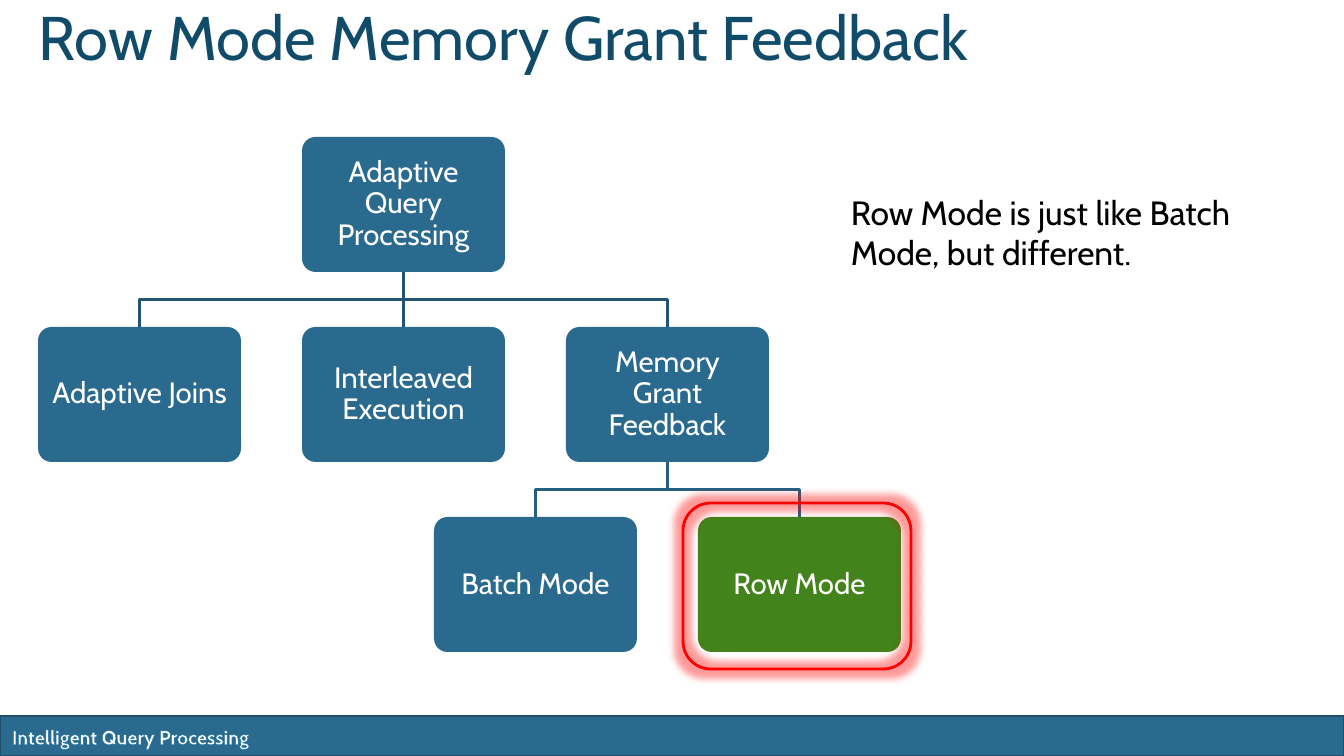
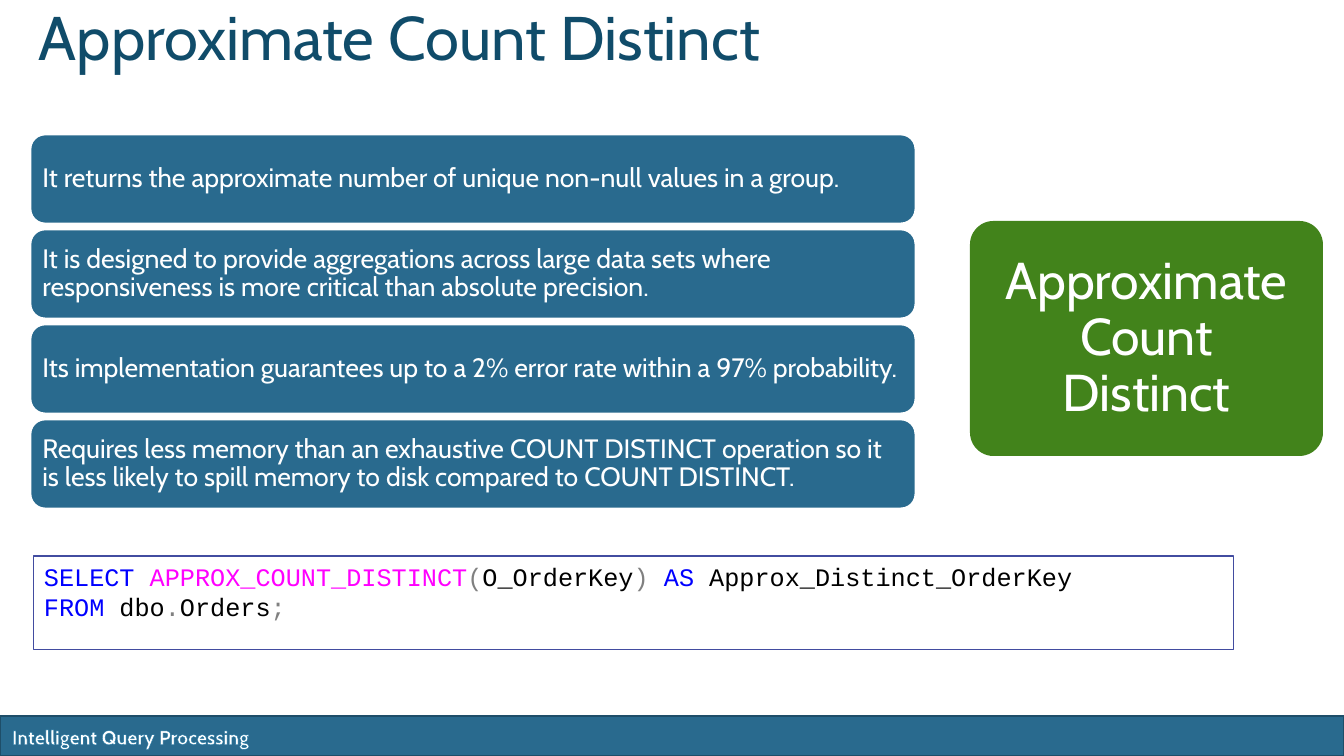
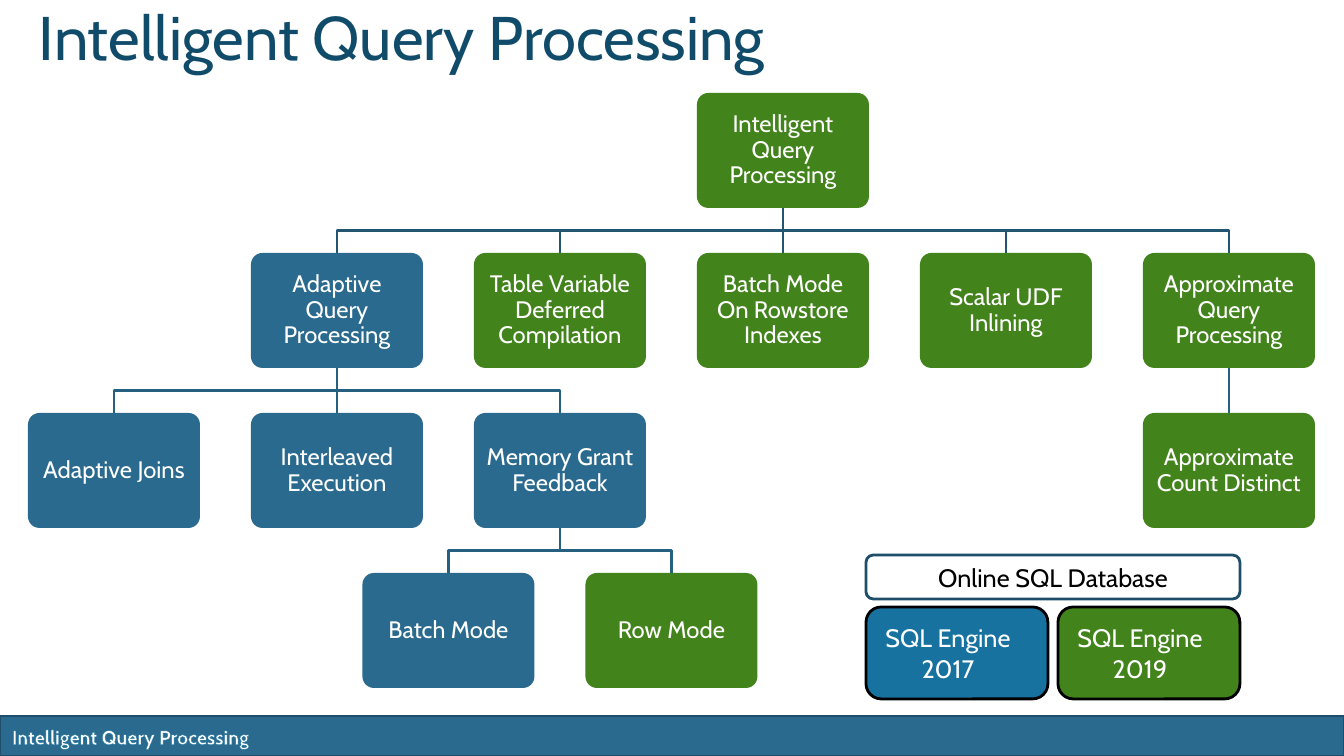
from lxml.etree import SubElement
from pptx import Presentation
from pptx.dml.color import RGBColor
from pptx.enum.shapes import MSO_CONNECTOR, MSO_SHAPE
from pptx.enum.text import MSO_ANCHOR, PP_ALIGN
from pptx.oxml import parse_xml
from pptx.oxml.ns import nsdecls, qn
from pptx.util import Pt

EMU_PER_PX = 914400 / 100.8
WIDTH, HEIGHT = 1344, 756

BLUE = RGBColor(0x29, 0x6A, 0x8E)
BRIGHT_BLUE = RGBColor(0x18, 0x72, 0xA0)
DARK_BLUE = RGBColor(0x1E, 0x4E, 0x69)
TITLE_BLUE = RGBColor(0x10, 0x4C, 0x6A)
ROOT_LINE = RGBColor(0x21, 0x55, 0x72)
BRANCH_LINE = RGBColor(0x25, 0x60, 0x81)
CODE_BORDER = RGBColor(0x42, 0x4C, 0xA0)
GREEN = RGBColor(0x42, 0x83, 0x1B)
RED = RGBColor(0xFF, 0x00, 0x00)
WHITE = RGBColor(0xFF, 0xFF, 0xFF)
BLACK = RGBColor(0x00, 0x00, 0x00)
KEYWORD = RGBColor(0x00, 0x00, 0xFF)
FUNCTION = RGBColor(0xFF, 0x00, 0xFF)
SYMBOL = RGBColor(0x80, 0x80, 0x80)

FONT, CODE_FONT = "Cabin", "Courier New"
FOOTER = "Intelligent Query Processing"

# Trees: key: (text, column, level, fill, parent key)
FEEDBACK_TREE = {
    "aqp": ("Adaptive Query Processing", 1, 0, BLUE, None),
    "joins": ("Adaptive Joins", 0, 1, BLUE, "aqp"),
    "interleaved": ("Interleaved Execution", 1, 1, BLUE, "aqp"),
    "grant": ("Memory Grant Feedback", 2, 1, BLUE, "aqp"),
    "batch": ("Batch Mode", 1.5, 2, BLUE, "grant"),
    "row": ("Row Mode", 2.5, 2, GREEN, "grant"),
}
FEEDBACK_GRID = dict(left=38, top=137, w=203, h=135, dx=264, dy=190, size=21, inset=9)
FEEDBACK_NOTE = "Row Mode is just like Batch Mode, but different."

FAMILY_TREE = {
    "iqp": ("Intelligent Query Processing", 3, 0, GREEN, None),
    "aqp": ("Adaptive Query Processing", 1, 1, BLUE, "iqp"),
    "joins": ("Adaptive Joins", 0, 2, BLUE, "aqp"),
    "interleaved": ("Interleaved Execution", 1, 2, BLUE, "aqp"),
    "grant": ("Memory Grant Feedback", 2, 2, BLUE, "aqp"),
    "batch": ("Batch Mode", 1.5, 3, BLUE, "grant"),
    "row": ("Row Mode", 2.5, 3, GREEN, "grant"),
    "table": ("Table Variable Deferred Compilation", 2, 1, GREEN, "iqp"),
    "rowstore": ("Batch Mode On Rowstore Indexes", 3, 1, GREEN, "iqp"),
    "scalar": ("Scalar UDF Inlining", 4, 1, GREEN, "iqp"),
    "approx": ("Approximate Query Processing", 5, 1, GREEN, "iqp"),
    "count": ("Approximate Count Distinct", 5, 2, GREEN, "approx"),
}
FAMILY_GRID = dict(left=28, top=93, w=172, h=115, dx=223, dy=160, size=17, inset=7)
LEGEND_HEAD = "Online SQL Database"
LEGEND = [("SQL Engine", "2017", BRIGHT_BLUE), ("SQL Engine", "2019", GREEN)]

FACTS = [
    "It returns the approximate number of unique non-null values in a group.",
    "It is designed to provide aggregations across large data sets where "
    "responsiveness is more critical than absolute precision.",
    "Its implementation guarantees up to a 2% error rate within a 97% probability.",
    "Requires less memory than an exhaustive COUNT DISTINCT operation so it is less "
    "likely to spill memory to disk compared to COUNT DISTINCT.",
]
QUERY = [
    [("SELECT ", KEYWORD), ("APPROX_COUNT_DISTINCT", FUNCTION), ("(", SYMBOL),
     ("O_OrderKey", BLACK), (") ", SYMBOL), ("AS ", KEYWORD),
     ("Approx_Distinct_OrderKey", BLACK)],
    [("FROM ", KEYWORD), ("dbo", BLACK), (".", SYMBOL), ("Orders", BLACK), (";", SYMBOL)],
]


def px(n):
    return round(n * EMU_PER_PX)


def write(sp, lines, size, color=WHITE, font=FONT, bold=None, align=PP_ALIGN.LEFT,
          anchor=MSO_ANCHOR.TOP, spacing=None, inset=None):
    """Fill a shape with paragraphs; each is a string or a list of (text, colour)."""
    tf = sp.text_frame
    frame = dict(word_wrap=True, vertical_anchor=anchor)
    if inset is not None:
        sides = ("margin_left", "margin_top", "margin_right", "margin_bottom")
        frame.update(dict.fromkeys(sides, px(inset)))
    for name, value in frame.items():
        setattr(tf, name, value)
    for i, line in enumerate(lines):
        p = tf.add_paragraph() if i else tf.paragraphs[0]
        p.alignment, p.line_spacing = align, spacing
        for text, ink in [(line, color)] if isinstance(line, str) else line:
            r = p.add_run()
            r.text = text
            for name, value in dict(name=font, size=Pt(size), bold=bold).items():
                setattr(r.font, name, value)
            r.font.color.rgb = ink
    return tf


def text_box(s, rect, text, size, **fmt):
    return write(s.shapes.add_textbox(*map(px, rect)), [text], size, **fmt)


def outline(sp, color, width=2):
    sp.line.color.rgb = color
    sp.line.width = Pt(width)


def block(s, rect, fill=None, line=None, width=2, kind=MSO_SHAPE.ROUNDED_RECTANGLE, adj=None):
    sp = s.shapes.add_shape(kind, *map(px, rect))
    sp.shadow.inherit = False
    if adj is not None:
        sp.adjustments[0] = adj
    if fill is None:
        sp.fill.background()
    else:
        sp.fill.solid()
        sp.fill.fore_color.rgb = fill
    if line is None:
        sp.line.fill.background()
    else:
        outline(sp, line, width)
    return sp


CENTERED = dict(align=PP_ALIGN.CENTER, anchor=MSO_ANCHOR.MIDDLE)


def new_slide(prs, title):
    s = prs.slides.add_slide(prs.slide_layouts[6])
    block(s, (0, 716, WIDTH, 40), BLUE, DARK_BLUE, kind=MSO_SHAPE.RECTANGLE)
    tf = text_box(s, (2, 720, 611, 34), FOOTER, 14, bold=True)
    rim = parse_xml(f'<a:ln {nsdecls("a")} w="{Pt(0.8)}"><a:solidFill>'
                    f'<a:srgbClr val="{BRIGHT_BLUE}"/></a:solidFill></a:ln>')
    tf.paragraphs[0].runs[0].font._element.insert(0, rim)
    text_box(s, (29, 19, 1210, 126), title, 44, color=TITLE_BLUE, spacing=Pt(35))
    return s


def link(s, parent, child, color):
    """Join the bottom of the parent to the top of the child."""
    x0, y0 = parent.left + parent.width // 2, parent.top + parent.height
    x1, y1 = child.left + child.width // 2, child.top
    if x0 == x1:
        sp = s.shapes.add_connector(MSO_CONNECTOR.STRAIGHT, x0, y0, x1, y1)
        sp.begin_connect(parent, 2)
        sp.end_connect(child, 0)
        SubElement(sp._element.spPr, qn("a:effectLst"))
    else:
        mid = (y0 + y1) // 2
        path = s.shapes.build_freeform(x0, y0)
        path.add_line_segments([(x0, mid), (x1, mid), (x1, y1)], close=False)
        sp = path.convert_to_shape()
        sp.shadow.inherit = False
        sp.fill.background()
    outline(sp, color)


def draw_tree(s, tree, left, top, w, h, dx, dy, size, inset):
    nodes = {}
    for key, (text, col, level, fill, parent) in tree.items():
        sp = block(s, (left + col * dx, top + level * dy, w, h), fill, adj=0.1)
        write(sp, [text], size, spacing=0.9, inset=inset, **CENTERED)
        nodes[key] = sp
        if parent:
            link(s, nodes[parent], sp, ROOT_LINE if level == 1 else BRANCH_LINE)


def feedback_slide(prs):
    s = new_slide(prs, "Row Mode Memory Grant Feedback")
    draw_tree(s, FEEDBACK_TREE, **FEEDBACK_GRID)
    halo = block(s, (683, 503, 228, 166), line=RED)
    effects = halo._element.spPr.find(qn("a:effectLst"))
    glow = SubElement(effects, qn("a:glow"), rad=str(px(15)))
    tint = SubElement(glow, qn("a:srgbClr"), val=str(RED))
    SubElement(tint, qn("a:alpha"), val="40000")
    text_box(s, (841, 187, 493, 92), FEEDBACK_NOTE, 24, color=BLACK)


def count_slide(prs):
    s = new_slide(prs, "Approximate Count Distinct")
    topic = block(s, (970, 221, 353, 235), GREEN, adj=0.1)
    write(topic, ["Approximate Count Distinct"], 37, spacing=0.9, inset=15, **CENTERED)
    code = block(s, (34, 556, 1200, 94), line=CODE_BORDER, width=0.75, kind=MSO_SHAPE.RECTANGLE)
    write(code, QUERY, 18, font=CODE_FONT)
    top, height, gap = 134, 90, 5
    for i, fact in enumerate(FACTS):
        sp = block(s, (30, top + i * (height + gap), 886, height), BLUE, WHITE)
        write(sp, [fact], 19, anchor=MSO_ANCHOR.MIDDLE, spacing=0.9, inset=8)


def family_slide(prs):
    s = new_slide(prs, "Intelligent Query Processing")
    draw_tree(s, FAMILY_TREE, **FAMILY_GRID)
    left, width, gap = 866, 182, 10
    for i, (product, year, fill) in enumerate(LEGEND):
        sp = block(s, (left + i * (width + gap), 607, width, 92), fill, BLACK)
        tf = write(sp, [product, year], 18, **CENTERED)
        tf.paragraphs[0]._p.get_or_add_pPr().set("marR", str(px(18)))
    head = block(s, (left, 555, 2 * width + gap, 44), WHITE, DARK_BLUE)
    write(head, [LEGEND_HEAD], 18, color=BLACK, **CENTERED)


def main():
    prs = Presentation()
    prs.slide_width, prs.slide_height = px(WIDTH), px(HEIGHT)
    for build in (feedback_slide, count_slide, family_slide):
        build(prs)
    prs.save("out.pptx")


if __name__ == "__main__":
    main()
